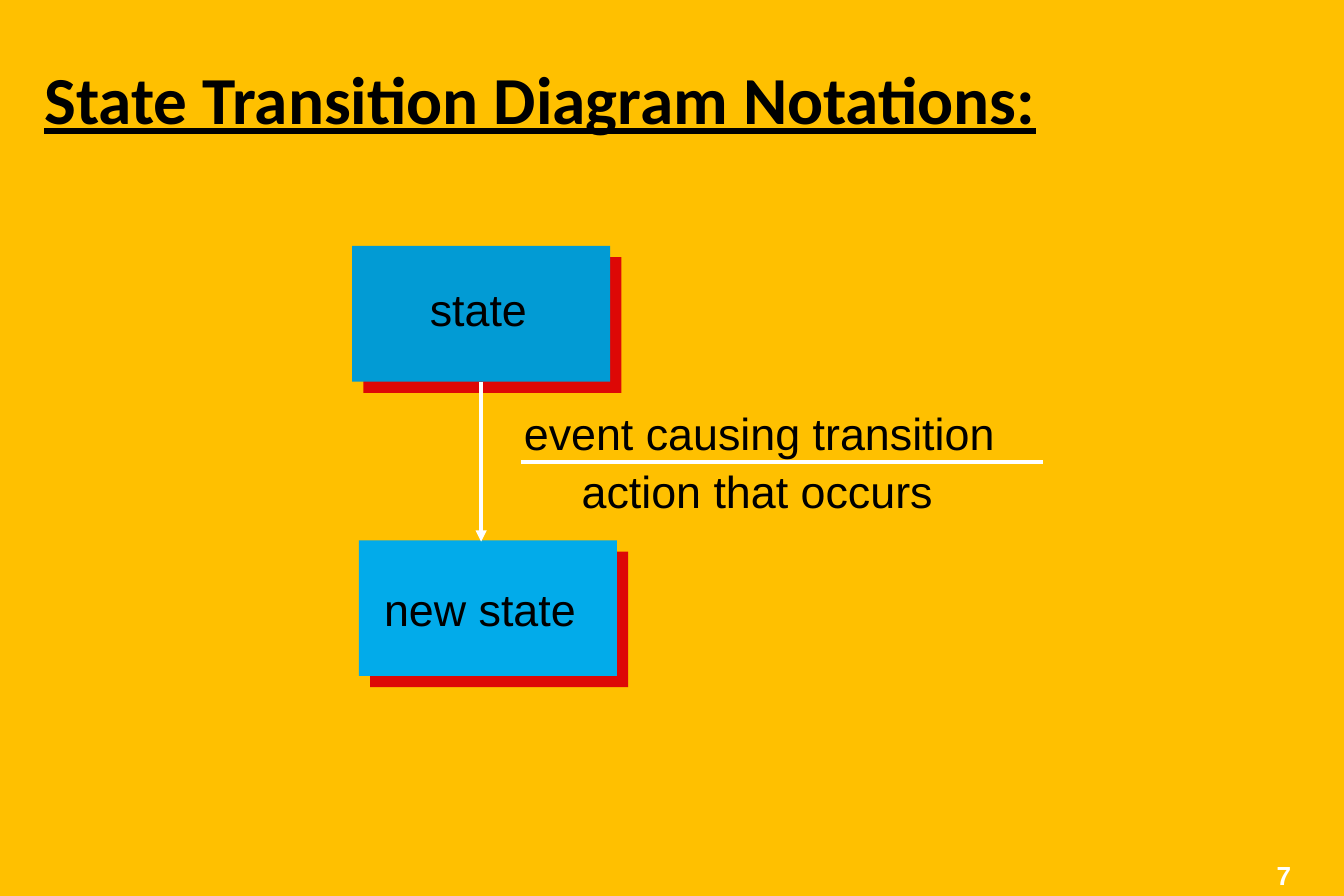
from lxml import etree
from pptx import Presentation
from pptx import util as u
from pptx.dml.color import RGBColor
from pptx.enum import shapes, text
from pptx.oxml import ns

COLORS = {"background": "FFC000", "ink": "000000", "white": "FFFFFF",
          "state": "029BD4", "new state": "02ABEA", "shadow": "DD0806"}

# Positions in points: left, top, width, height
TITLE = ("State Transition Diagram Notations:", (16.56, 32.4, 596.16, 45.36))
STATE_SIZE = (138.24, 72.72)
STATES = [("state", (188.64, 131.76)), ("new state", (192.24, 289.44))]
LABELS = [
    ("state", (223.2, 147.6, 66.96, 36)),
    ("new state", (198.72, 308.16, 118.08, 36)),
    ("event causing transition", (273.6, 213.84, 269.28, 36)),
    ("action that occurs", (304.56, 244.8, 204.48, 36)),
]
PAGE_NUMBER = ("7", (678.96, 460.08, 27.36, 19.44))
TRANSITION = (257.76, 206.64, 257.76, 290.16)
DIVIDER = (279.36, 247.68, 558.72, 247.68)


def points(values):
    return [u.Pt(value) for value in values]


def color(name):
    return RGBColor.from_string(COLORS[name])


def format_text(shape, content, size, font_name, color_name, bold=False, underline=False):
    shape.text_frame.text = content
    font = shape.text_frame.paragraphs[0].runs[0].font
    font.size, font.name = u.Pt(size), font_name
    font.bold, font.underline = bold, underline
    font.color.rgb = color(color_name)


def add_label(slide, content, box, size=24, color_name="ink", bold=False):
    label = slide.shapes.add_textbox(*points(box))
    label.text_frame.word_wrap = False
    format_text(label, content, size, "Arial", color_name, bold)
    return label


def add_state(slide, name, corner):
    """Add a state rectangle with a hard shadow towards the lower right."""
    state = slide.shapes.add_shape(shapes.MSO_SHAPE.RECTANGLE, *points(corner + STATE_SIZE))
    state.fill.solid()
    state.fill.fore_color.rgb = color(name)
    state.line.fill.background()
    effects = etree.SubElement(state._element.spPr, ns.qn("a:effectLst"))
    shadow = etree.SubElement(effects, ns.qn("a:outerShdw"), dist=str(u.Pt(8.5)),
                              dir=str(45 * 60000), algn="ctr", rotWithShape="0")
    etree.SubElement(shadow, ns.qn("a:srgbClr"), val=COLORS["shadow"])
    return state


def add_line(slide, ends, arrow=False):
    line = slide.shapes.add_connector(shapes.MSO_CONNECTOR.STRAIGHT, *points(ends))
    line.line.width = u.Pt(2)
    line.line.color.rgb = color("white")
    if arrow:
        etree.SubElement(line.line._get_or_add_ln(), ns.qn("a:tailEnd"), type="triangle")
    etree.SubElement(line._element.spPr, ns.qn("a:effectLst"))
    return line


def main():
    presentation = Presentation()
    presentation.slide_width, presentation.slide_height = points((720, 480))
    slide = presentation.slides.add_slide(presentation.slide_layouts[5])
    slide.background.fill.solid()
    slide.background.fill.fore_color.rgb = color("background")

    content, box = TITLE
    title = slide.shapes.title
    title.left, title.top, title.width, title.height = points(box)
    title.text_frame.vertical_anchor = text.MSO_ANCHOR.MIDDLE
    format_text(title, content, 36, "Calibri", "ink", bold=True, underline=True)
    paragraph = title.text_frame.paragraphs[0]
    paragraph.alignment = text.PP_ALIGN.LEFT
    paragraph.line_spacing = 0.88

    states = [add_state(slide, name, corner) for name, corner in STATES]
    transition = add_line(slide, TRANSITION, arrow=True)
    transition.begin_connect(states[0], 2)
    add_line(slide, DIVIDER)
    for content, box in LABELS:
        add_label(slide, content, box)

    number = add_label(slide, *PAGE_NUMBER, size=14, color_name="white", bold=True)
    frame = number.text_frame
    frame.margin_left = frame.margin_right = u.Pt(5)
    frame.margin_top = frame.margin_bottom = u.Pt(2.2)
    frame.paragraphs[0].line_spacing = 0.9

    presentation.save("out.pptx")


if __name__ == "__main__":
    main()
